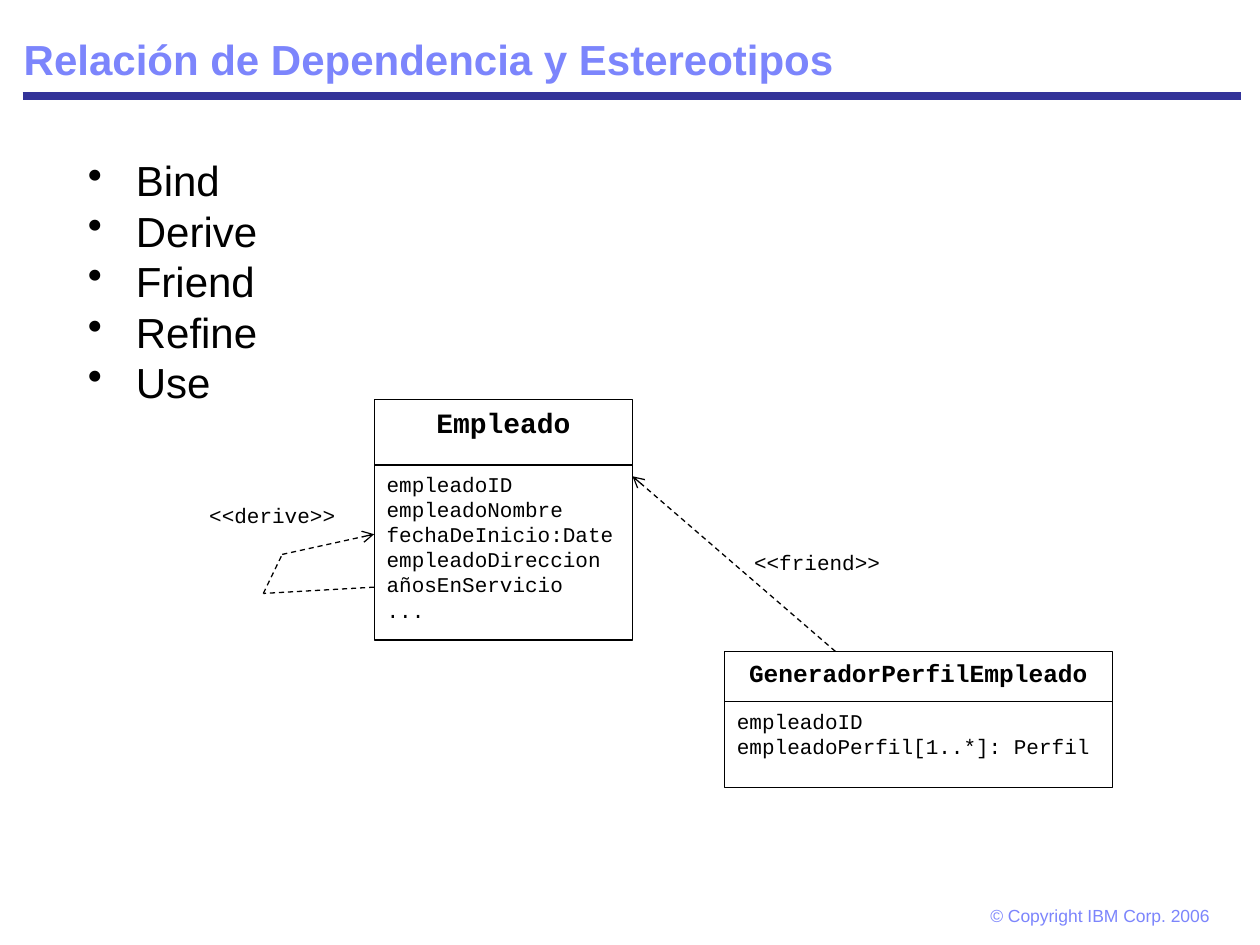
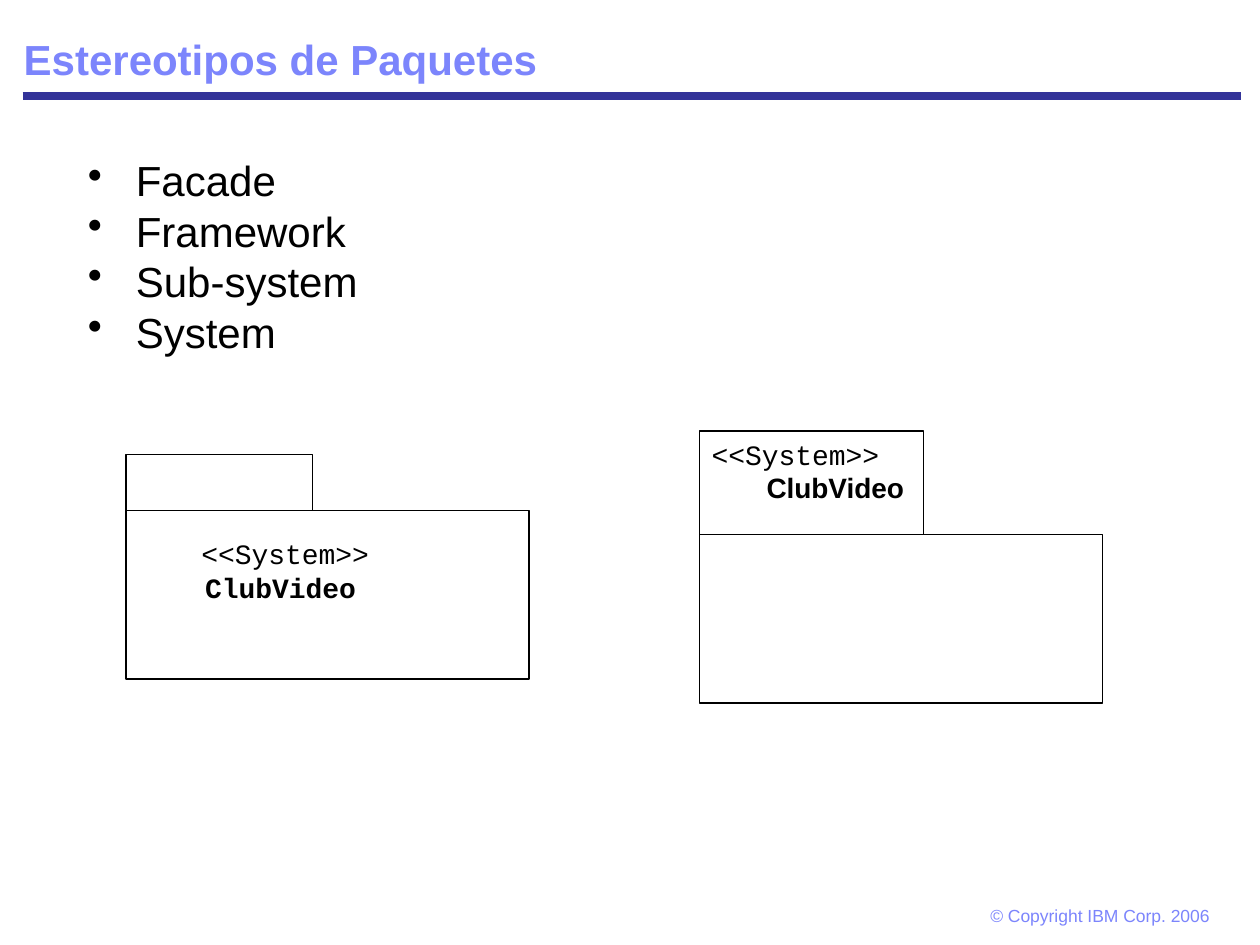
from lxml import etree
from pptx import Presentation
from pptx.dml.color import RGBColor
from pptx.enum.dml import MSO_LINE_DASH_STYLE as Dash
from pptx.enum.shapes import MSO_CONNECTOR as Connector, MSO_SHAPE as Shape
from pptx.enum.text import MSO_ANCHOR as Anchor, PP_ALIGN as Align
from pptx.oxml.ns import qn
from pptx.util import Inches, Pt

# Shared style
COLORS = {"title": "7C85FC", "rule": "333399", "ink": "000000"}
SANS, MONO = "Arial", "Courier New"
FOOTER = "© Copyright IBM Corp. 2006"
INSETS = (0.1, 0.05, 0.1, 0.05)
BULLET_INDENT = 0.38

# Slide 1: dependency stereotypes
DEPENDENCY_TITLE = "Relación de Dependencia y Estereotipos"
DEPENDENCY_BULLETS = ["Bind", "Derive", "Friend", "Refine", "Use"]
CLASSES = [
    {"name": "GeneradorPerfilEmpleado", "size": 14, "at": (5.75, 5.17), "width": 3.08,
     "heights": (0.4, 0.68), "insets": INSETS,
     "attributes": ["empleadoID", "empleadoPerfil[1..*]: Perfil"]},
    {"name": "Empleado", "size": 16, "at": (2.97, 3.17), "width": 2.05,
     "heights": (0.52, 1.39), "insets": (0.1, 0.05, 0, 0.05),
     "attributes": ["empleadoID", "empleadoNombre", "fechaDeInicio:Date",
                    "empleadoDireccion", "añosEnServicio", "..."]},
]
# Each dependency: label, label box, route whose last leg carries the arrow
DEPENDENCIES = [
    ("<<friend>>", (5.75, 4.31, 1.47, 0.35), [(6.63, 5.17), (5.02, 3.78)]),
    ("<<derive>>", (1.5, 3.94, 1.32, 0.35),
     [(2.97, 4.66), (2.09, 4.71), (2.24, 4.4), (2.97, 4.24)]),
]

# Slide 2: package stereotypes
PACKAGE_TITLE = "Estereotipos de Paquetes"
PACKAGE_BULLETS = ["Facade", "Framework", "Sub-system", "System"]
PACKAGE_BODY = (3.2, 1.34)
# Label lines: text, font, bold, alignment, indent
PACKAGES = [
    {"at": (1, 3.61), "tab": (1.48, 0.44), "label_on": "body",
     "insets": (0.1, 0.21, 0.1, 0.05),
     "label": [("<<System>>", MONO, False, Align.LEFT, 0.5),
               ("ClubVideo", MONO, True, Align.LEFT, 0.53)]},
    {"at": (5.55, 3.42), "tab": (1.78, 0.82), "label_on": "tab",
     "insets": (0.1, 0.05, 0.1, 0),
     "label": [("<<System>>", MONO, False, Align.LEFT, 0),
               ("ClubVideo", SANS, True, Align.CENTER, 0.38)]},
]


def color(name):
    return RGBColor.from_string(COLORS[name])


def prepare_frame(shape, insets=INSETS, anchor=Anchor.TOP):
    frame = shape.text_frame
    frame.word_wrap = True
    frame.vertical_anchor = anchor
    (frame.margin_left, frame.margin_top,
     frame.margin_right, frame.margin_bottom) = map(Inches, insets)
    return frame


def add_line(frame, index, text, size, font=SANS, ink="ink", bold=False,
             align=Align.LEFT, indent=0, bullet=None):
    """Write paragraph number index of a text frame."""
    paragraph = frame.paragraphs[0] if index == 0 else frame.add_paragraph()
    paragraph.text = text
    paragraph.alignment = align
    properties = paragraph._p.get_or_add_pPr()
    if indent:
        properties.set("marL", str(Inches(indent)))
    if bullet:
        properties.set("indent", str(-Inches(indent)))
        etree.SubElement(properties, qn("a:buChar")).set("char", bullet)
    paragraph.font.size = Pt(size)
    paragraph.font.name = font
    paragraph.font.bold = bold
    paragraph.font.color.rgb = color(ink)
    return paragraph


def add_text(slide, box, text, size, insets=INSETS, anchor=Anchor.TOP, **style):
    shape = slide.shapes.add_textbox(*map(Inches, box))
    return add_line(prepare_frame(shape, insets, anchor), 0, text, size, **style)


def add_box(slide, left, top, width, height):
    shape = slide.shapes.add_shape(Shape.RECTANGLE, *map(Inches, (left, top, width, height)))
    shape.shadow.inherit = False
    shape.fill.background()
    shape.line.color.rgb = color("ink")
    shape.line.width = Pt(0.75)
    return shape


def add_straight(slide, start, end, ink="ink", width=0.75, dashed=False, arrow=False):
    connector = slide.shapes.add_connector(Connector.STRAIGHT, *map(Inches, start + end))
    connector.line.color.rgb = color(ink)
    connector.line.width = Pt(width)
    if dashed:
        connector.line.dash_style = Dash.DASH
    if arrow:
        tail = etree.SubElement(connector.line._get_or_add_ln(), qn("a:tailEnd"))
        tail.set("type", "arrow")
    etree.SubElement(connector._element.spPr, qn("a:effectLst"))


def add_base_slide(presentation, title, bullets):
    """Slide with rule, footer, title and bullet list."""
    slide = presentation.slides.add_slide(presentation.slide_layouts[6])
    add_straight(slide, (0.18, 0.76), (9.85, 0.76), "rule", 4.5)
    add_text(slide, (7.71, 7.11, 2.04, 0.32), FOOTER, 10, (0.15, 0.07, 0.15, 0.07),
             ink="title")
    heading = add_text(slide, (0.09, 0.09, 9.8, 0.63), title, 24, anchor=Anchor.BOTTOM,
                       ink="title", bold=True)
    heading.line_spacing = 0.9
    frame = prepare_frame(slide.shapes.add_textbox(*map(Inches, (0.6, 1.18, 8.8, 5.38))))
    for index, text in enumerate(bullets):
        paragraph = add_line(frame, index, text, 24, indent=BULLET_INDENT, bullet="•")
        paragraph.line_spacing = Pt(28.8)
    return slide


def add_class(slide, item):
    left, top = item["at"]
    name_height, body_height = item["heights"]
    header = add_box(slide, left, top, item["width"], name_height)
    add_line(prepare_frame(header), 0, item["name"], item["size"], MONO,
             bold=True, align=Align.CENTER)
    body = add_box(slide, left, top + name_height, item["width"], body_height)
    frame = prepare_frame(body, item["insets"])
    for index, attribute in enumerate(item["attributes"]):
        add_line(frame, index, attribute, 12, MONO)


def add_dependency(slide, label, box, route):
    add_text(slide, box, label, 12, font=MONO, align=Align.CENTER)
    for start, end in zip(route, route[1:]):
        add_straight(slide, start, end, dashed=True, arrow=end == route[-1])


def add_package(slide, item):
    left, top = item["at"]
    tab_width, tab_height = item["tab"]
    parts = {"tab": add_box(slide, left, top, tab_width, tab_height),
             "body": add_box(slide, left, top + tab_height, *PACKAGE_BODY)}
    frame = prepare_frame(parts[item["label_on"]], item["insets"])
    for index, (text, font, bold, align, indent) in enumerate(item["label"]):
        add_line(frame, index, text, 16, font, bold=bold, align=align, indent=indent)


def main():
    presentation = Presentation()
    presentation.slide_width, presentation.slide_height = Inches(10), Inches(7.5)

    slide = add_base_slide(presentation, DEPENDENCY_TITLE, DEPENDENCY_BULLETS)
    for item in CLASSES:
        add_class(slide, item)
    for dependency in DEPENDENCIES:
        add_dependency(slide, *dependency)

    slide = add_base_slide(presentation, PACKAGE_TITLE, PACKAGE_BULLETS)
    for item in PACKAGES:
        add_package(slide, item)

    presentation.save("out.pptx")


if __name__ == "__main__":
    main()
